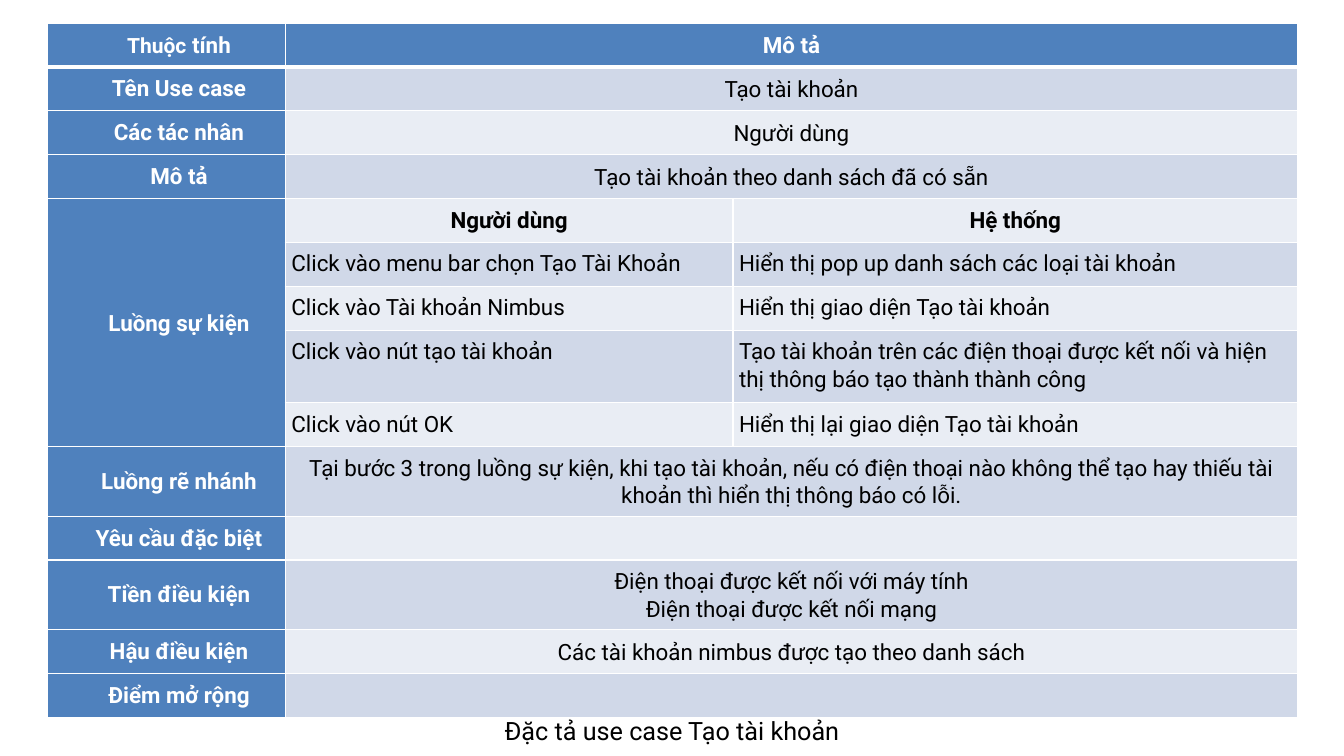
from lxml import etree
from pptx import Presentation, util as u
from pptx.dml.color import RGBColor
from pptx.enum import text as t
from pptx.oxml.ns import qn

# Content: label, then one wide text or a user / system pair
ROWS = [
    (("Thuộc", " tính"), "Mô tả"),
    ("Tên Use case", "Tạo tài khoản"),
    ("Các tác nhân", "Người dùng"),
    ("Mô tả", "Tạo tài khoản theo danh sách đã có sẵn"),
    ("Luồng sự kiện", "Người dùng", "Hệ thống"),
    ("", "Click vào menu bar chọn Tạo Tài Khoản",
     "Hiển thị pop up danh sách các loại tài khoản"),
    ("", "Click vào Tài khoản Nimbus", "Hiển thị giao diện Tạo tài khoản"),
    ("", "Click vào nút tạo tài khoản",
     "Tạo tài khoản trên các điện thoại được kết nối và hiện thị thông báo "
     "tạo thành thành công"),
    ("", "Click vào nút OK", "Hiển thị lại giao diện Tạo tài khoản"),
    ("Luồng rẽ nhánh",
     "Tại bước 3 trong luồng sự kiện, khi tạo tài khoản, nếu có điện thoại nào "
     "không thể tạo hay thiếu tài khoản thì hiển thị thông báo có lỗi."),
    ("Yêu cầu đặc biệt", ""),
    ("Tiền điều kiện",
     "Điện thoại được kết nối với máy tính\nĐiện thoại được kết nối mạng"),
    ("Hậu điều kiện", "Các tài khoản nimbus được tạo theo danh sách"),
    ("Điểm mở rộng", ""),
]
CAPTION = "Đặc tả use case Tạo tài khoản"
FLOW = (4, 8)  # first and last row of the event flow

# Layout in inches
LEFT, TOP, WIDE, TALL = 0.47, 0.23, 12.39, 6.59
COLS = [2.36, 4.44, 5.6]
HIGH = {4: 0.38, 7: 0.59, 9: 0.58, 11: 0.58}
LINE = 0.35
TIGHT = (0.06, 0.07, 0.06, 0.08)
LOOSE = (0.12, 0.06, 0.12, 0.06)

THEME = dict(font="Roboto", head="4F81BD", bands=("E9EDF4", "D0D8E8"),
             white="FFFFFF", black="000000", small=15, body=16, title=18)


def style(font, size, color, bold):
    form = dict(name=THEME["font"], size=u.Pt(size), bold=bold)
    for key, val in form.items():
        setattr(font, key, val)
    font.color.rgb = RGBColor.from_string(color)


def border(cell, row):
    """Draw white edges, with a heavy rule under the header."""
    props = cell._tc.get_or_add_tcPr()
    heavy = {(0, "B"), (1, "T")}
    for pos, side in enumerate("LRTB"):
        width = 3 if (row, side) in heavy else 1
        line = etree.Element(qn(f"a:ln{side}"), w=str(u.Pt(width)))
        fill = etree.SubElement(line, qn("a:solidFill"))
        etree.SubElement(fill, qn("a:srgbClr"), val=THEME["white"])
        props.insert(pos, line)


def write(cell, words, color, bold, align, indent):
    parts = words if isinstance(words, tuple) else (words,)
    for num, text in enumerate(parts[0].split("\n")):
        para = cell.text_frame.paragraphs[0] if num == 0 else cell.text_frame.add_paragraph()
        para.alignment, para.line_spacing = align, 1.07
        if indent:
            props = para._p.get_or_add_pPr()
            props.set("marL", str(u.Inches(0.25)))
            props.set("indent", "0")
        for text in (text, *parts[1:]):
            if text:
                run = para.add_run()
                run.text = text
                style(run.font, THEME["body"], color, bold)
    if len(parts) > 1:
        para.runs[0].font.size = u.Pt(THEME["small"])


def fill_cell(cell, row, col, words):
    flow = FLOW[0] <= row <= FLOW[1]
    label, top = col == 0, row == 0
    color = THEME["head"] if label or top else THEME["bands"][row % 2]
    cell.fill.solid()
    cell.fill.fore_color.rgb = RGBColor.from_string(color)
    border(cell, row)
    pad = TIGHT if label != flow else LOOSE
    sides = ("left", "top", "right", "bottom")
    form = {f"margin_{side}": u.Inches(val) for side, val in zip(sides, pad)}
    form["vertical_anchor"] = t.MSO_ANCHOR.TOP if flow and not label else t.MSO_ANCHOR.MIDDLE
    for key, val in form.items():
        setattr(cell, key, val)
    step = flow and row > FLOW[0] and not label
    align = t.PP_ALIGN.LEFT if step else t.PP_ALIGN.CENTER
    ink = THEME["white"] if label or top else THEME["black"]
    write(cell, words, ink, label or top or row == FLOW[0], align, label)


def add_grid(slide):
    frame = slide.shapes.add_table(len(ROWS), len(COLS), u.Inches(LEFT), u.Inches(TOP),
                                   u.Inches(WIDE), u.Inches(TALL))
    grid = frame.table
    for col, width in zip(grid.columns, COLS):
        col.width = u.Inches(width)
    for row, words in enumerate(ROWS):
        grid.rows[row].height = u.Inches(HIGH.get(row, LINE))
        for col in range(len(COLS)):
            fill_cell(grid.cell(row, col), row, col, words[col] if col < len(words) else "")
        if len(words) == 2:
            grid.cell(row, 1).merge(grid.cell(row, 2))
    grid.cell(FLOW[0], 0).merge(grid.cell(FLOW[1], 0))
    frame.height = u.Inches(TALL)


def add_caption(slide):
    box = slide.shapes.title
    place = dict(left=LEFT, top=7.05, width=WIDE, height=0.4)
    for key, val in place.items():
        setattr(box, key, u.Inches(val))
    frame = box.text_frame
    form = dict(text=CAPTION, word_wrap=True, vertical_anchor=t.MSO_ANCHOR.TOP,
                auto_size=t.MSO_AUTO_SIZE.SHAPE_TO_FIT_TEXT)
    for key, val in form.items():
        setattr(frame, key, val)
    para = frame.paragraphs[0]
    para.alignment = t.PP_ALIGN.CENTER
    style(para.runs[0].font, THEME["title"], THEME["black"], False)


def main():
    deck = Presentation()
    deck.slide_width, deck.slide_height = u.Inches(13.33), u.Inches(7.5)
    slide = deck.slides.add_slide(deck.slide_layouts[5])
    add_grid(slide)
    add_caption(slide)
    deck.save("out.pptx")


if __name__ == "__main__":
    main()
